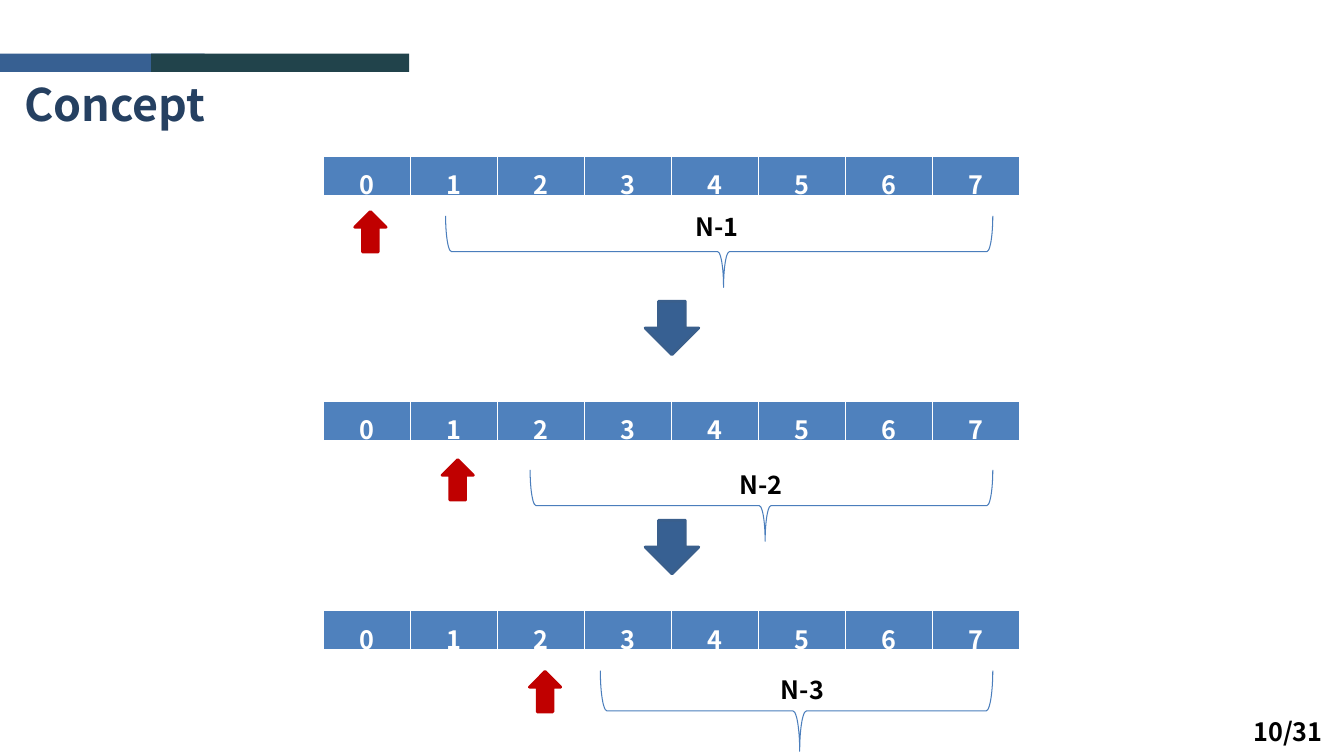
from lxml import etree
from pptx import Presentation
from pptx.dml.color import RGBColor
from pptx.enum import shapes as kinds, text as txt
from pptx.oxml import ns
from pptx.util import Cm, Pt

FONT = "Noto Sans CJK KR"
CELLS = 8
ROW_LEFT, ROW_WIDTH, ROW_HEIGHT = 8.15, 17.55, 1.02
POINTER_LEFT, POINTER_STEP = 8.94, 2.2
BRACE_RIGHT = 25.02
STEPS = [
    dict(row=3.94, pointer=5.33, brace=(11.23, 5.44, 1.8), label=(17.27, 5.21, 1.88)),
    dict(row=10.11, pointer=11.58, brace=(13.36, 11.84, 1.8), label=(18.39, 11.71, 2.13)),
    dict(row=15.39, pointer=16.92, brace=(15.13, 16.9, 2.03), label=(19.43, 16.87, 1.96)),
]


def color(value):
    return RGBColor.from_string(value)


def add_run(paragraph, words, size, ink):
    run = paragraph.add_run()
    run.text = words
    run.font.name = FONT
    run.font.size = Pt(size)
    run.font.bold = True
    run.font.color.rgb = color(ink)


def add_label(slide, words, left, top, width, height=1.02, size=18, ink="000000"):
    label = slide.shapes.add_textbox(Cm(left), Cm(top), Cm(width), Cm(height))
    label.text_frame.word_wrap = True
    label.text_frame.auto_size = txt.MSO_AUTO_SIZE.SHAPE_TO_FIT_TEXT
    add_run(label.text_frame.paragraphs[0], words, size, ink)


def add_figure(slide, kind, left, top, width, height, fill=None, line=None, weight=2, turn=0):
    figure = slide.shapes.add_shape(kind, Cm(left), Cm(top), Cm(width), Cm(height))
    figure.shadow.inherit = False
    figure.rotation = turn
    if fill:
        figure.fill.solid()
        figure.fill.fore_color.rgb = color(fill)
    else:
        figure.fill.background()
    if line:
        figure.line.color.rgb = color(line)
        figure.line.width = Pt(weight)
    else:
        figure.line.fill.background()
    return figure


def add_borders(cell):
    properties = cell._tc.get_or_add_tcPr()
    for index, (side, weight) in enumerate([("L", 1), ("R", 1), ("T", 1), ("B", 3)]):
        border = etree.Element(ns.qn(f"a:ln{side}"), w=str(Pt(weight)))
        fill = etree.SubElement(border, ns.qn("a:solidFill"))
        etree.SubElement(fill, ns.qn("a:srgbClr"), val="FFFFFF")
        properties.insert(index, border)


def add_array(slide, top):
    array = slide.shapes.add_table(
        1, CELLS, Cm(ROW_LEFT), Cm(top), Cm(ROW_WIDTH), Cm(ROW_HEIGHT)).table
    for index, cell in enumerate(array.rows[0].cells):
        array.columns[index].width = Cm(ROW_WIDTH / CELLS)
        cell.margin_top, cell.margin_bottom = Cm(0.23), Cm(0)
        cell.fill.solid()
        cell.fill.fore_color.rgb = color("4F81BD")
        add_borders(cell)
        paragraph = cell.text_frame.paragraphs[0]
        paragraph.alignment = txt.PP_ALIGN.CENTER
        add_run(paragraph, str(index), 18, "FFFFFF")


def add_brace(slide, left, top, depth):
    length = BRACE_RIGHT - left
    shift = (length - depth) / 2
    brace = add_figure(slide, kinds.MSO_SHAPE.LEFT_BRACE, left + shift, top - shift,
                       depth, length, line="4B7EBC", weight=0.75, turn=270)
    brace.adjustments[0] = 0.083
    brace.adjustments[1] = 0.508


def main():
    deck = Presentation()
    deck.slide_width, deck.slide_height = Cm(33.87), Cm(19.05)
    slide = deck.slides.add_slide(deck.slide_layouts[6])
    down = kinds.MSO_SHAPE.DOWN_ARROW

    add_label(slide, "Concept", 0.36, 1.8, 13.39, 1.63, 32, "254061")
    for left, width, fill in [(0, 5.16, "376092"), (3.81, 6.5, "21434B")]:
        add_figure(slide, kinds.MSO_SHAPE.RECTANGLE, left, 1.35, width, 0.46, fill)

    for index, step in enumerate(STEPS):
        add_array(slide, step["row"])
        add_figure(slide, down, POINTER_LEFT + index * POINTER_STEP, step["pointer"],
                   0.79, 1.02, "C00000", "C00000", turn=180)
        add_brace(slide, *step["brace"])
        add_label(slide, f"N-{index + 1}", *step["label"])
    for top in (7.59, 13.11):
        add_figure(slide, down, 16.26, top, 1.35, 1.35, "376092", "3A5F8C")

    add_label(slide, "10/31", 31.34, 17.93, 2.39)
    deck.save("out.pptx")


if __name__ == "__main__":
    main()
